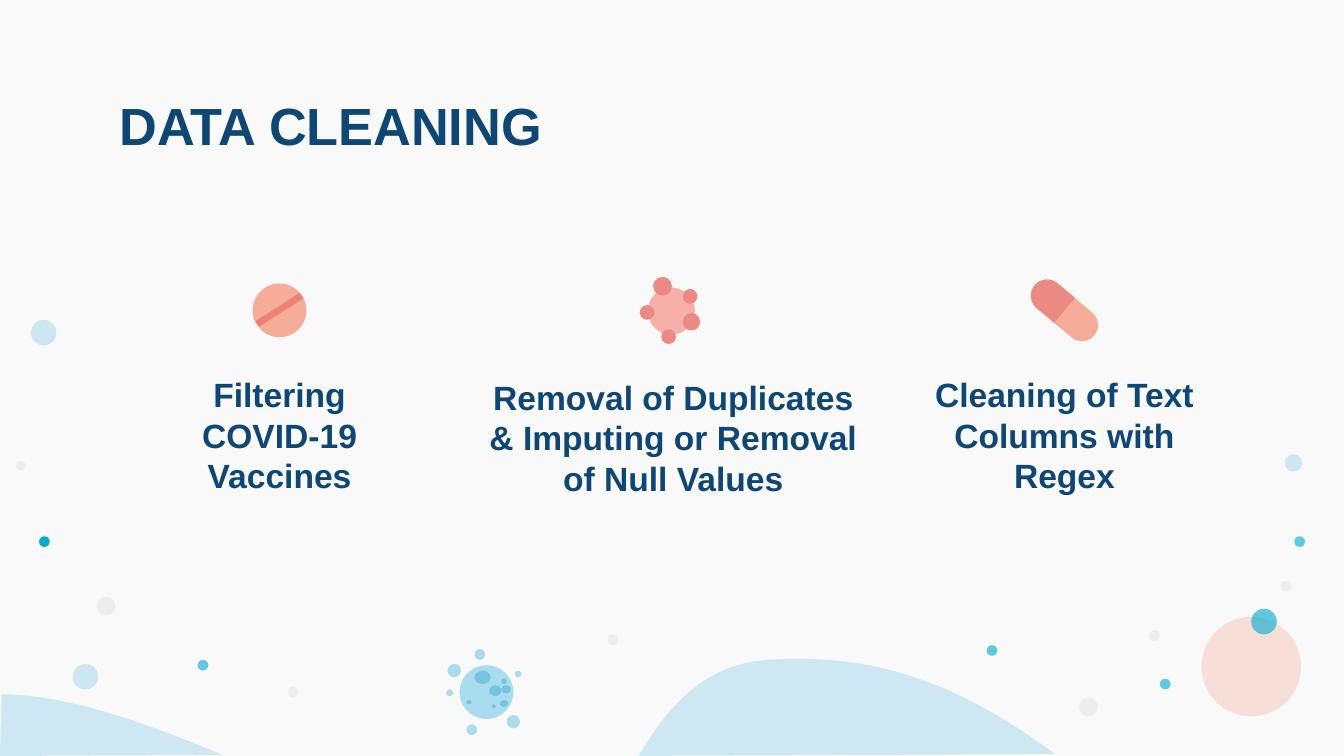
from pptx import Presentation
from pptx.dml.color import RGBColor
from pptx.enum.shapes import MSO_SHAPE
from pptx.enum.text import MSO_ANCHOR, PP_ALIGN
from pptx.oxml.ns import qn
from pptx.util import Inches, Pt
from lxml import etree

OVAL = MSO_SHAPE.OVAL
ROUNDED = MSO_SHAPE.ROUNDED_RECTANGLE
HALF_ROUNDED = MSO_SHAPE.ROUND_2_SAME_RECTANGLE
TOP, MIDDLE = MSO_ANCHOR.TOP, MSO_ANCHOR.MIDDLE
LEFT, CENTER = PP_ALIGN.LEFT, PP_ALIGN.CENTER

WIDTH = 10
HEIGHT = WIDTH * 9 / 16
PAPER = RGBColor(0xF9, 0xF9, 0xF9)
NAVY = RGBColor(0x0E, 0x47, 0x76)
SKY = RGBColor(0xAA, 0xDB, 0xEE)
TEAL = RGBColor(0x02, 0xAC, 0xD0)
GRAY = RGBColor(0xED, 0xED, 0xED)
CELL = RGBColor(0xAA, 0xDC, 0xEF)
SPOT = RGBColor(0x75, 0xC4, 0xE0)
PEACH = RGBColor(0xF5, 0xAD, 0x9A)
STRIPE = RGBColor(0xEF, 0x81, 0x72)
PINK = RGBColor(0xF6, 0xAF, 0xA9)
ROSE = RGBColor(0xED, 0x89, 0x84)

TEXTS = [
    ("DATA CLEANING", 0.79, 0.59, 8.43, 0.52, 28, LEFT, TOP),
    ("Filtering COVID-19 Vaccines", 0.97, 3.1, 2.22, 0.27, 18, CENTER, MIDDLE),
    ("Removal of Duplicates\v& Imputing or Removal of Null Values",
     3.49, 3.1, 3.04, 0.31, 18, CENTER, MIDDLE),
    ("Cleaning of Text Columns with Regex", 6.81, 3.1, 2.22, 0.27, 18, CENTER, MIDDLE),
]

HILLS = [
    [[(3.38, 6.41), (2.04, 5.81), (0.44, 4.9), (-0.44, 5.24)]],
    [[(9.51, 7.08), (7.8, 5.42), (6.99, 4.83), (5.72, 4.91)],
     [(5.72, 4.91), (4.46, 4.99), (4.73, 7), (3.38, 6.41)]],
]
HILL_CORNERS = [[(0, HEIGHT)], []]

BUBBLES = [
    (PEACH, 34, [(8.94, 4.59, 0.74, 0.74)]),
    (SKY, 57, [(0.23, 2.38, 0.19, 0.19), (0.54, 4.94, 0.19, 0.19),
               (9.56, 3.38, 0.13, 0.13)]),
    (GRAY, 100, [(0.12, 3.43, 0.07, 0.07), (2.14, 5.11, 0.08, 0.08),
                 (4.52, 4.72, 0.08, 0.08), (0.72, 4.44, 0.14, 0.14),
                 (9.53, 4.32, 0.08, 0.08), (8.55, 4.69, 0.08, 0.08),
                 (8.03, 5.19, 0.14, 0.14)]),
    (TEAL, 100, [(0.29, 3.99, 0.08, 0.08)]),
    (TEAL, 62, [(1.47, 4.91, 0.08, 0.08), (9.31, 4.53, 0.19, 0.19),
                (8.63, 5.05, 0.08, 0.08), (7.34, 4.8, 0.08, 0.08),
                (9.63, 3.99, 0.08, 0.08)]),
]
CELL_PARTS = [
    (CELL, 100, [(3.53, 4.83, 0.08, 0.08), (3.47, 5.39, 0.08, 0.08),
                 (3.33, 4.94, 0.1, 0.1), (3.77, 5.32, 0.1, 0.1),
                 (3.83, 4.99, 0.05, 0.05), (3.32, 5.13, 0.05, 0.05),
                 (3.42, 4.95, 0.4, 0.4)]),
    (SPOT, 100, [(3.73, 5.1, 0.07, 0.06), (3.73, 5.05, 0.04, 0.04),
                 (3.64, 5.1, 0.09, 0.08), (3.53, 4.99, 0.12, 0.1),
                 (3.72, 5.21, 0.06, 0.05), (3.47, 5.21, 0.04, 0.03),
                 (3.66, 5.24, 0.03, 0.03)]),
]
VIRUS_PARTS = [
    (PINK, 100, [(4.82, 2.14, 0.35, 0.35)]),
    (ROSE, 100, [(4.86, 2.06, 0.14, 0.14), (4.76, 2.27, 0.11, 0.11),
                 (5.08, 2.15, 0.11, 0.11), (4.92, 2.45, 0.11, 0.11),
                 (5.08, 2.33, 0.13, 0.13)]),
]
TABLET = [(PEACH, 100, [(1.88, 2.11, 0.4, 0.4)])]
TABLET_STRIPE = [(2.23, 2.18), (1.9, 2.39), (1.93, 2.43), (2.26, 2.22)]


def paint(shape, color, opacity=100):
    shape.shadow.inherit = False
    shape.line.fill.background()
    shape.fill.solid()
    shape.fill.fore_color.rgb = color
    if opacity < 100:
        rgb = shape.fill._xPr.find(qn("a:solidFill"))[0]
        etree.SubElement(rgb, qn("a:alpha")).set("val", str(opacity * 1000))


def add_shape(slide, kind, box, color, opacity=100):
    shape = slide.shapes.add_shape(kind, *map(Inches, box))
    paint(shape, color, opacity)
    return shape


def add_ovals(slide, groups):
    for color, opacity, boxes in groups:
        for box in boxes:
            add_shape(slide, OVAL, box, color, opacity)


def add_polygon(slide, points, color, opacity=100):
    corners = [(Inches(x), Inches(y)) for x, y in points]
    builder = slide.shapes.build_freeform(*corners[0])
    builder.add_line_segments(corners[1:], close=True)
    paint(builder.convert_to_shape(), color, opacity)


def sample_curve(curve, steps=150):
    for step in range(steps + 1):
        t = step / steps
        weights = ((1 - t) ** 3, 3 * t * (1 - t) ** 2, 3 * t * t * (1 - t), t ** 3)
        yield tuple(sum(w * point[axis] for w, point in zip(weights, curve))
                    for axis in (0, 1))


def add_text(slide, text, left, top, width, height, size, alignment, anchor):
    box = slide.shapes.add_textbox(*map(Inches, (left, top, width, height)))
    frame = box.text_frame
    frame.word_wrap = True
    frame.vertical_anchor = anchor
    frame.margin_left = frame.margin_right = Inches(0.1)
    frame.margin_top = frame.margin_bottom = Inches(0.1)
    paragraph = frame.paragraphs[0]
    paragraph.text = text
    paragraph.alignment = alignment
    font = paragraph.font
    font.name, font.size, font.bold = "Arial", Pt(size), True
    font.color.rgb = NAVY


def main():
    presentation = Presentation()
    presentation.slide_width, presentation.slide_height = Inches(WIDTH), Inches(HEIGHT)
    slide = presentation.slides.add_slide(presentation.slide_layouts[6])
    slide.background.fill.solid()
    slide.background.fill.fore_color.rgb = PAPER

    for curves, corners in zip(HILLS, HILL_CORNERS):
        points = [(x, y) for curve in curves for x, y in sample_curve(curve)
                  if x >= 0 and y <= HEIGHT]
        add_polygon(slide, points + corners, SKY, 54)
    add_ovals(slide, BUBBLES + CELL_PARTS)

    for text in TEXTS:
        add_text(slide, *text)

    add_ovals(slide, TABLET)
    add_polygon(slide, TABLET_STRIPE, STRIPE)
    add_ovals(slide, VIRUS_PARTS)

    capsule = add_shape(slide, ROUNDED, (7.63, 2.19, 0.58, 0.24), PEACH)
    capsule.adjustments[0] = 0.5
    capsule.rotation = 40
    capsule_half = add_shape(slide, HALF_ROUNDED, (7.69, 2.07, 0.24, 0.29), ROSE)
    capsule_half.adjustments[0] = 0.5
    capsule_half.rotation = -50

    presentation.save("out.pptx")


if __name__ == "__main__":
    main()
